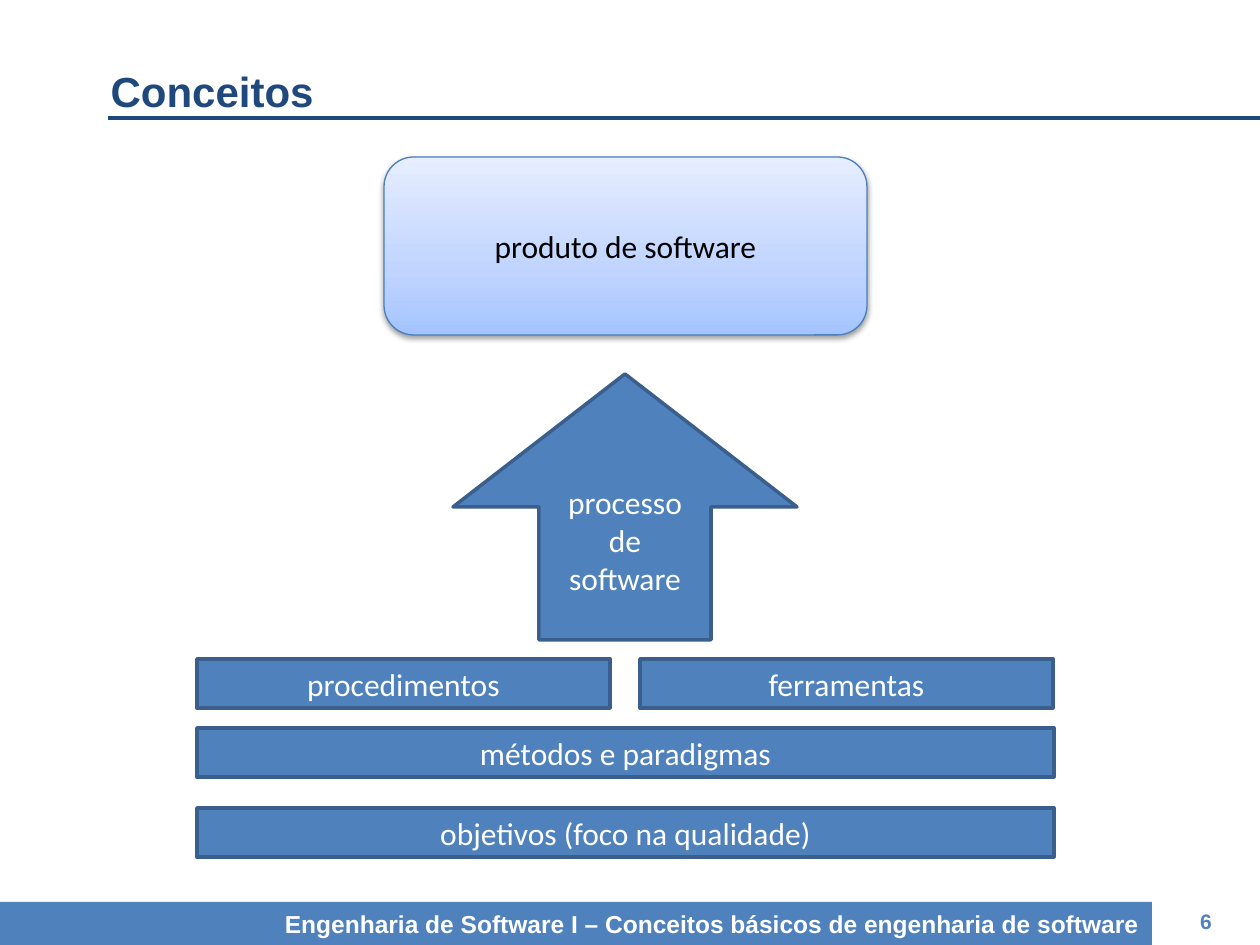
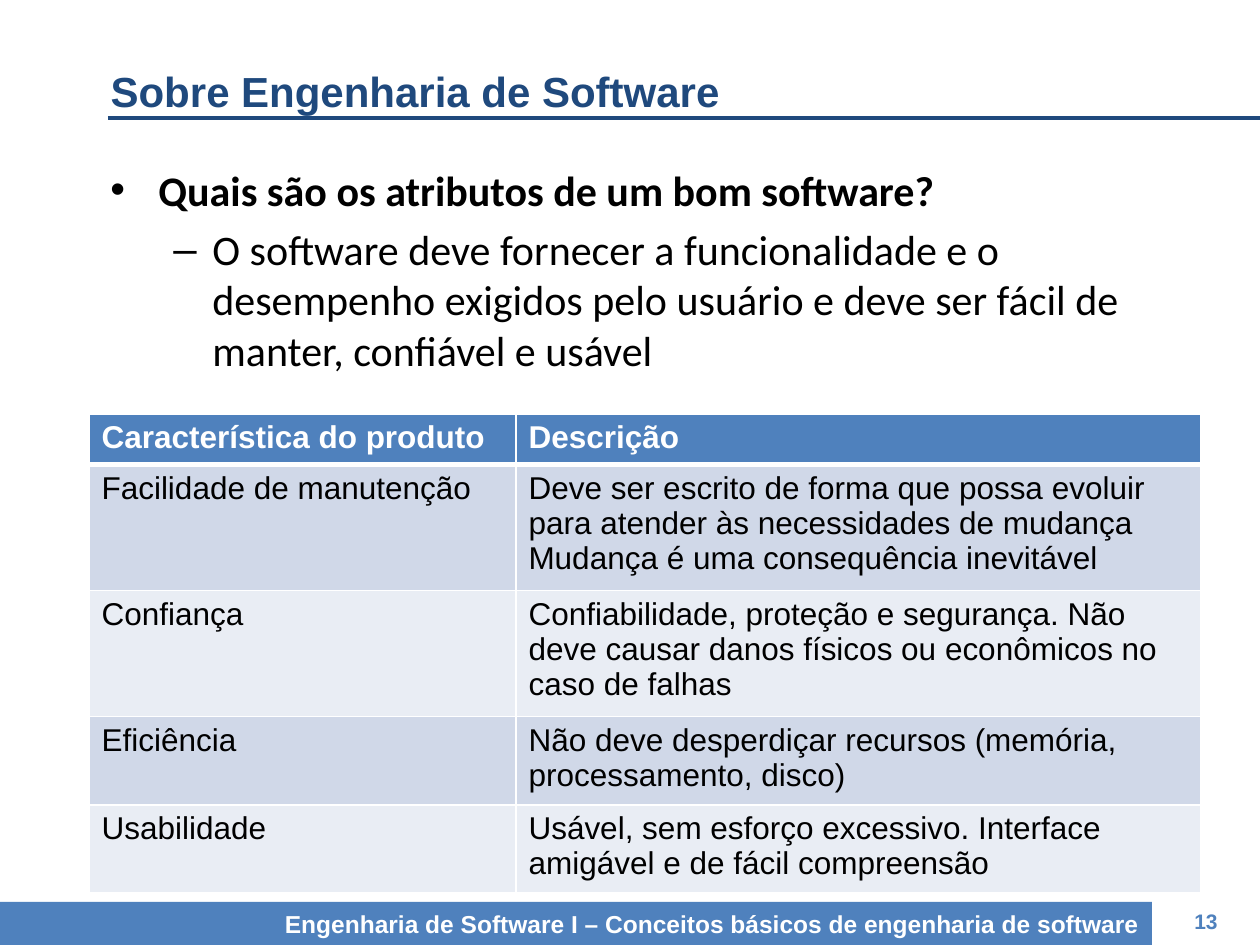
import pptx
import pptx.util
import pptx.dml.color
import pptx.enum.shapes
import pptx.enum.text
import pptx.oxml
import pptx.oxml.ns

# Content
BAND = "Engenharia de Software I – Conceitos básicos de engenharia de software"
GOAL = "produto de software"
FLOW = "processo de software"
BASE = [  # top, labels that share the row
    (659, ["procedimentos", "ferramentas"]),
    (728, ["métodos e paradigmas"]),
    (808, ["objetivos (foco na qualidade)"]),
]
ASK = "Quais são os atributos de um bom software?"
REPLY = ("O software deve fornecer a funcionalidade e o desempenho exigidos "
         "pelo usuário e deve ser fácil de manter, confiável e usável")
TRAITS = [  # row height, product trait, description
    (50, "Característica do produto", "Descrição"),
    (126, "Facilidade de manutenção",
     "Deve ser escrito de forma que possa evoluir para atender às "
     "necessidades de mudança\nMudança é uma consequência inevitável"),
    (126, "Confiança",
     "Confiabilidade, proteção e segurança. Não deve causar danos físicos "
     "ou econômicos no caso de falhas"),
    (88, "Eficiência",
     "Não deve desperdiçar recursos (memória, processamento, disco)"),
    (88, "Usabilidade",
     "Usável, sem esforço excessivo. Interface amigável e de fácil compreensão"),
]

# Shared style
HUES = {"navy": "1F497D", "blue": "4F81BD", "edge": "3A5F8C", "rim": "4B7EBC",
        "white": "FFFFFF", "black": "000000", "odd": "D0D8E8", "even": "E9EDF4",
        "low": "A4C4FF", "mid": "BFD4FF", "high": "E6EEFF"}
KIND = pptx.enum.shapes.MSO_SHAPE
SIDE = pptx.enum.text.PP_ALIGN
HOLD = pptx.enum.text.MSO_ANCHOR
NS = pptx.oxml.ns.nsdecls("a")
WIDE, HIGH = 1260, 945


def px(n):
    return pptx.util.Emu(n * 914400 // 126)


def box(*at):
    return [px(n) for n in at]


def hue(name):
    return pptx.dml.color.RGBColor.from_string(HUES[name])


def xml(text):
    return pptx.oxml.parse_xml(text)


def write(frame, text, size=18, face="Calibri", color="black", bold=False,
          side=SIDE.LEFT, hold=HOLD.TOP, marks=None):
    """Fill a frame, one paragraph a line; marks are (char, left, hang)."""
    frame.word_wrap = True
    frame.vertical_anchor = hold
    for i, line in enumerate(text.split("\n")):
        para = frame.add_paragraph() if i else frame.paragraphs[0]
        run = para.add_run()
        run.text = line
        para.alignment = side
        if marks:
            char, left, hang = marks[i]
            para.level = i
            prop = para._p.get_or_add_pPr()
            prop.set("marL", str(px(left)))
            prop.set("indent", str(-px(hang)))
            prop.append(xml(f'<a:buFont {NS} typeface="Arial"/>'))
            prop.append(xml(f'<a:buChar {NS} char="{char}"/>'))
            if i:
                para.space_before = pptx.util.Pt(5)
        font = run.font
        font.name, font.size, font.bold = face, pptx.util.Pt(size), bold
        font.color.rgb = hue(color)


def block(slide, kind, at, text, fill="blue", line=None, width=2, **form):
    shape = slide.shapes.add_shape(kind, *box(*at))
    shape.shadow.inherit = False
    if fill:
        shape.fill.solid()
        shape.fill.fore_color.rgb = hue(fill)
    if line:
        shape.line.color.rgb = hue(line)
        shape.line.width = pptx.util.Pt(width)
    else:
        shape.line.fill.background()
    style = {"color": "white", "side": SIDE.CENTER, "hold": HOLD.MIDDLE}
    write(shape.text_frame, text, **{**style, **form})
    return shape


def start(deck, title, page):
    """Add a slide with its title, rule, page number and band."""
    slide = deck.slides.add_slide(deck.slide_layouts[5])
    head = slide.shapes.title
    head.left, head.top, head.width, head.height = box(98, 59, 1162, 64)
    write(head.text_frame, title, size=24, face="Arial", color="navy", bold=True)
    head.text_frame.auto_size = pptx.enum.text.MSO_AUTO_SIZE.NONE

    rule = slide.shapes.add_connector(
        pptx.enum.shapes.MSO_CONNECTOR.STRAIGHT, *box(108, 118, WIDE, 118))
    rule.line.color.rgb = hue("navy")
    rule.line.width = pptx.util.Pt(2)
    rule._element.spPr.append(xml(f"<a:effectLst {NS}/>"))

    split = 1152
    block(slide, KIND.RECTANGLE, (split, 896, WIDE - split, 50), str(page),
          fill="white", size=12, face="Arial", color="blue", bold=True)
    block(slide, KIND.RECTANGLE, (0, 902, split, HIGH - 902), BAND,
          size=14, face="Arial", bold=True, side=SIDE.RIGHT)
    return slide


def glow(shape):
    """Give a shape a pale upward gradient and a soft shadow."""
    shape.fill.gradient()
    shape.fill.gradient_angle = 90
    stops = shape._element.spPr.find(".//" + pptx.oxml.ns.qn("a:gsLst"))
    for stop in list(stops):
        stops.remove(stop)
    for pos, name in ((0, "low"), (35, "mid"), (100, "high")):
        stops.append(xml(f'<a:gs {NS} pos="{pos * 1000}">'
                         f'<a:srgbClr val="{HUES[name]}"/></a:gs>'))
    soft = shape._element.spPr.find(pptx.oxml.ns.qn("a:effectLst"))
    soft.append(xml(
        f'<a:outerShdw {NS} blurRad="40000" dist="20000" dir="5400000" '
        f'rotWithShape="0"><a:srgbClr val="{HUES["black"]}">'
        '<a:alpha val="38000"/></a:srgbClr></a:outerShdw>'))


def edge(cell, **sides):
    """Draw white borders; each side gives its width in points."""
    prop = cell._tc.get_or_add_tcPr()
    for i, (side, width) in enumerate(sides.items()):
        prop.insert(i, xml(
            f'<a:ln{side} {NS} w="{width * 12700}"><a:solidFill>'
            f'<a:srgbClr val="{HUES["white"]}"/></a:solidFill></a:ln{side}>'))


def stack(deck):
    slide = start(deck, "Conceitos", 6)
    block(slide, KIND.UP_ARROW, (453, 374, 344, 266), FLOW, line="edge")
    # Base rows split the same width
    left, full, gap = 197, 857, 30
    for top, names in BASE:
        wide = (full - gap * (len(names) - 1)) // len(names)
        for i, name in enumerate(names):
            at = left + i * (wide + gap), top, wide, 49
            block(slide, KIND.RECTANGLE, at, name, line="edge")
    glow(block(slide, KIND.ROUNDED_RECTANGLE, (384, 157, 483, 178), GOAL,
               fill=None, line="rim", width=0.75, color="black"))


def traits(deck):
    slide = start(deck, "Sobre Engenharia de Software", 13)
    # Question and reply
    body = slide.shapes.add_textbox(*box(98, 158, 1113, 677)).text_frame
    write(body, f"{ASK}\n{REPLY}", size=24,
          marks=[("•", 48, 48), ("–", 102, 39)])
    body.paragraphs[0].runs[0].font.bold = True

    # Table of traits
    tall = sum(row[0] for row in TRAITS)
    grid = slide.shapes.add_table(
        len(TRAITS), 2, *box(89, 414, 1112, tall)).table
    for col, wide in zip(grid.columns, (427, 685)):
        col.width = px(wide)
    for r, (high, *texts) in enumerate(TRAITS):
        grid.rows[r].height = px(high)
        for c, text in enumerate(texts):
            cell = grid.cell(r, c)
            cell.fill.solid()
            cell.fill.fore_color.rgb = hue(
                "blue" if r == 0 else "odd" if r % 2 else "even")
            edge(cell, L=1, R=1, T=3 if r == 1 else 1, B=1 if r else 3)
            write(cell.text_frame, text, face="Arial", bold=r == 0,
                  color="black" if r else "white")


def main():
    deck = pptx.Presentation()
    deck.slide_width, deck.slide_height = px(WIDE), px(HIGH)
    stack(deck)
    traits(deck)
    deck.save("out.pptx")


if __name__ == "__main__":
    main()
